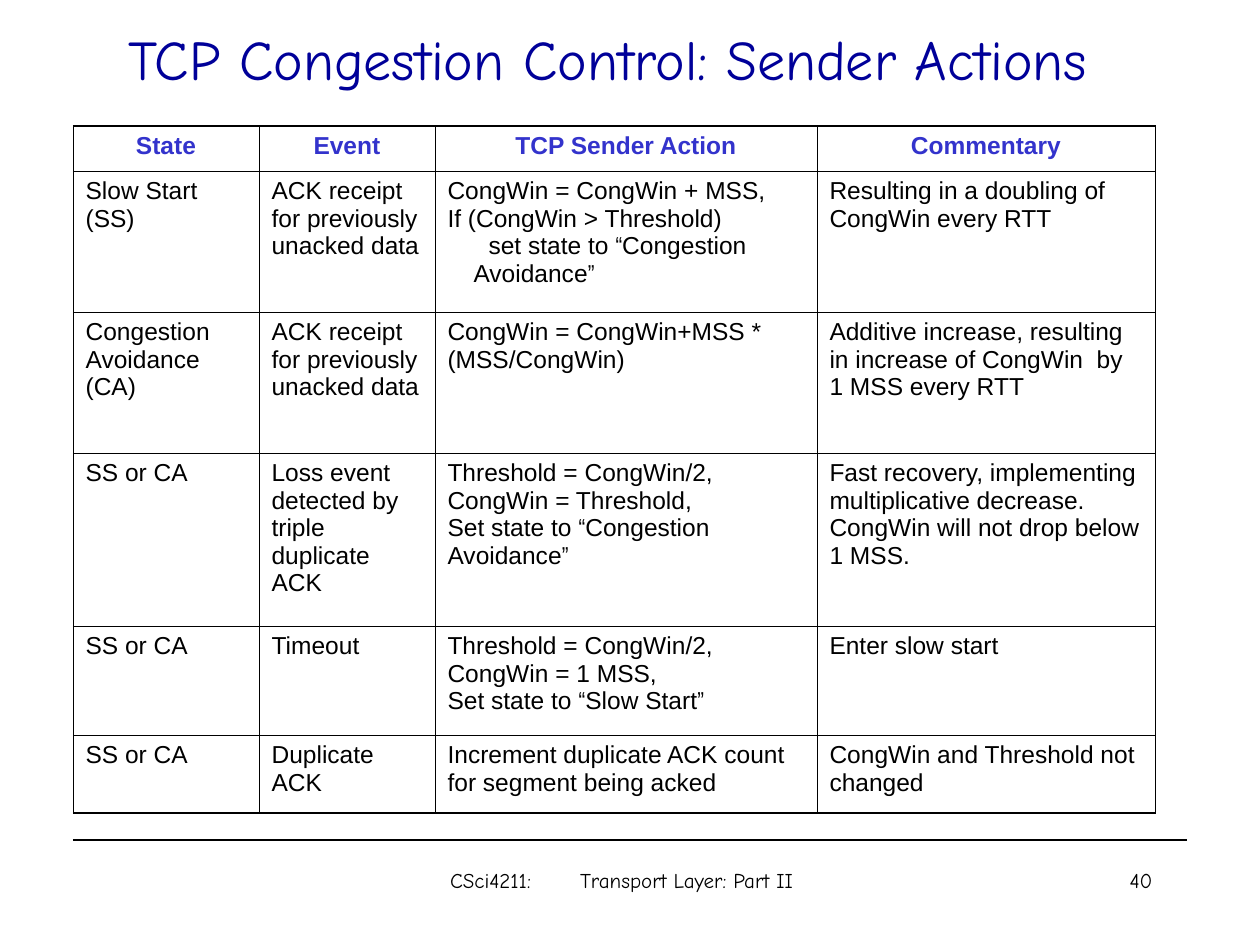
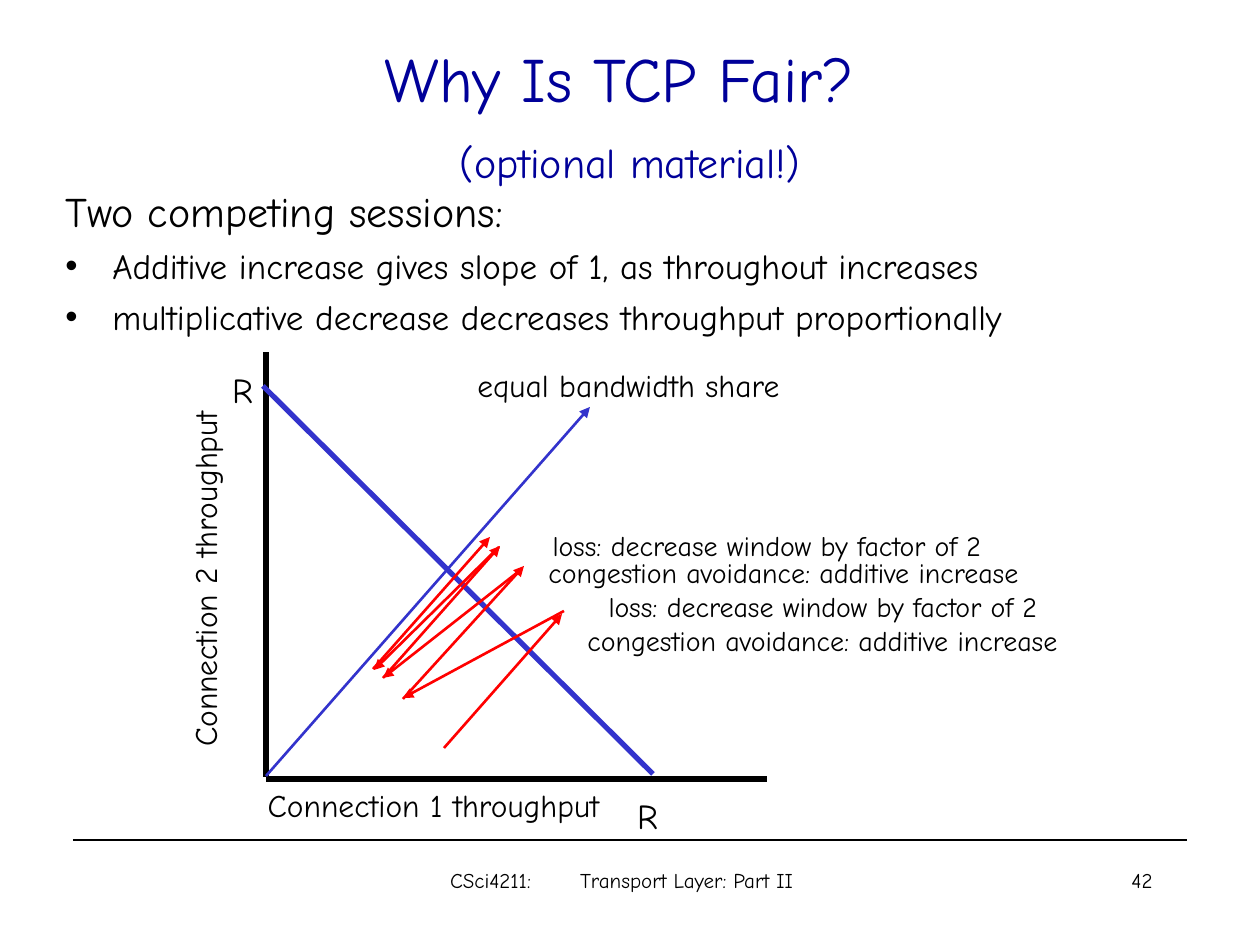
from itertools import groupby

from lxml import etree
from pptx import Presentation
from pptx.dml.color import RGBColor
from pptx.enum.shapes import MSO_CONNECTOR
from pptx.enum.text import MSO_ANCHOR, PP_ALIGN
from pptx.oxml.ns import qn
from pptx.util import Emu, Pt

PX = 914400 / 126
BLACK, NAVY, BLUE, RED = "000000", "000099", "3333CC", "FF0000"
HAND, SANS, QUOTES = "Comic Neue", "Arial", "Arial Narrow"
LEFT, CENTER, RIGHT = PP_ALIGN.LEFT, PP_ALIGN.CENTER, PP_ALIGN.RIGHT

FOOTER = "CSci4211:\tTransport Layer: Part II"

# Actions: paragraphs in a cell are separated by a line feed.
HEADINGS = ["State", "Event", "TCP Sender Action", "Commentary"]
ACTIONS = [
    ["Slow Start (SS)", "ACK receipt for previously unacked data",
     "CongWin = CongWin + MSS,\nIf (CongWin > Threshold)\nset state to “Congestion Avoidance”",
     "Resulting in a doubling of CongWin every RTT"],
    ["Congestion\nAvoidance (CA)", "ACK receipt for previously unacked data",
     "CongWin = CongWin+MSS * (MSS/CongWin)",
     "Additive increase, resulting in increase of CongWin  by 1 MSS every RTT"],
    ["SS or CA", "Loss event detected by triple duplicate ACK",
     "Threshold = CongWin/2,\nCongWin = Threshold,\nSet state to “Congestion Avoidance”",
     "Fast recovery, implementing multiplicative decrease. "
     "CongWin will not drop below 1 MSS."],
    ["SS or CA", "Timeout",
     "Threshold = CongWin/2,\nCongWin = 1 MSS,\nSet state to “Slow Start”",
     "Enter slow start"],
    ["SS or CA", "Duplicate ACK",
     "Increment duplicate ACK count for segment being acked",
     "CongWin and Threshold not changed"],
]
COLUMN_WIDTHS = [186, 176, 382, 338]
ROW_HEIGHTS = [45, 141, 141, 173, 109, 78]

SESSIONS = "Two competing sessions:"
SESSION_POINTS = [
    "Additive increase gives slope of 1, as throughout increases",
    "multiplicative decrease decreases throughput proportionally",
]

# Lines of the fairness plot: start, end, colour, points, arrow at the end
PLOT_LINES = [
    ((266, 779), (767, 779), BLACK, 3, False),
    ((266, 777), (266, 352), BLACK, 3, False),
    ((266, 776), (590, 407), BLUE, 1.5, True),
    ((263, 386), (653, 774), BLUE, 3, False),
]
WINDOW_MOVES = [
    ((444, 748), (562, 614)),
    ((564, 611), (403, 698)),
    ((403, 699), (524, 566)),
    ((518, 572), (383, 678)),
    ((383, 678), (500, 546)),
    ((499, 547), (374, 670)),
    ((373, 669), (490, 537)),
]

# Plot labels: text, left, top, width, height, size, rotation
INCREASE = "congestion avoidance: additive increase"
LOSS = "loss: decrease window by factor of 2"
PLOT_LABELS = [
    ("R", 620, 788, 55, 55, 20, 0),
    ("R", 215, 362, 55, 55, 20, 0),
    ("equal bandwidth share", 384, 360, 489, 50, 18, 0),
    ("Connection 1 throughput", 189, 780, 489, 50, 18, 0),
    ("Connection 2 throughput", -40, 554, 489, 50, 18, 270),
    (INCREASE, 510, 617, 625, 47, 16, 0),
    (LOSS, 595, 583, 456, 47, 16, 0),
    (INCREASE, 471, 549, 625, 47, 16, 0),
    (LOSS, 539, 522, 456, 47, 16, 0),
]


def px(length):
    return Emu(round(length * PX))


def color(value):
    return RGBColor.from_string(value)


def add_span(para, text, size, font=HAND, fill=BLACK, bold=False):
    span = para.add_run()
    span.text = text
    span.font.name, span.font.size, span.font.bold = font, Pt(size), bold
    span.font.color.rgb = color(fill)


def add_text(page, text, left, top, width, height, size=12, fill=BLACK,
             align=CENTER, anchor=MSO_ANCHOR.TOP, wrap=True, rotation=0):
    """Add a text box with one paragraph and return the box."""
    box = page.shapes.add_textbox(px(left), px(top), px(width), px(height))
    box.rotation = rotation
    frame = box.text_frame
    frame.word_wrap = wrap
    frame.vertical_anchor = anchor
    para = frame.paragraphs[0]
    para.alignment = align
    add_span(para, text, size, fill=fill)
    return box


def add_line(page, start, end, fill=BLACK, width=0.75, arrow=False):
    line = page.shapes.add_connector(
        MSO_CONNECTOR.STRAIGHT, *(px(value) for value in start + end))
    line.line.color.rgb = color(fill)
    line.line.width = Pt(width)
    if arrow:
        etree.SubElement(line.line._get_or_add_ln(), qn("a:tailEnd"), type="triangle")
    etree.SubElement(line._element.spPr, qn("a:effectLst"))


def set_indent(para, margin, first):
    properties = para._p.get_or_add_pPr()
    properties.set("marL", str(px(margin)))
    properties.set("indent", str(px(first)))
    return properties


def add_page(deck, number, title, title_box, title_size):
    """Add a page with its title, rule and footer; return it and the title box."""
    page = deck.slides.add_slide(deck.slide_layouts[6])
    add_line(page, (73, 840), (1187, 840))
    footer = add_text(page, FOOTER, 420, 861, 410, 63, align=LEFT)
    footer.text_frame.margin_left = px(30)
    tabs = etree.SubElement(
        footer.text_frame.paragraphs[0]._p.get_or_add_pPr(), qn("a:tabLst"))
    etree.SubElement(tabs, qn("a:tab"), pos=str(px(130)), algn="l")
    add_text(page, str(number), 903, 861, 262, 63, align=RIGHT)
    heading = add_text(page, title, *title_box, size=title_size, fill=NAVY,
                       anchor=MSO_ANCHOR.MIDDLE)
    return page, heading


def set_borders(cell, top, bottom):
    properties = cell._tc.get_or_add_tcPr()
    for side, width in (("L", 0.34), ("R", 0.34), ("T", top), ("B", bottom)):
        line = etree.SubElement(properties, qn("a:ln" + side), w=str(Pt(width)))
        fill = etree.SubElement(line, qn("a:solidFill"))
        etree.SubElement(fill, qn("a:srgbClr"), val=BLACK)


def fill_cell(cell, text, heading):
    for index, line in enumerate(text.split("\n")):
        frame = cell.text_frame
        para = frame.add_paragraph() if index else frame.paragraphs[0]
        para.alignment = CENTER if heading else LEFT
        if line.startswith("set state"):
            set_indent(para, 26, 15)
        for quoted, letters in groupby(line, key=lambda letter: letter in "“”"):
            add_span(para, "".join(letters), 14, font=QUOTES if quoted else SANS,
                     fill=BLUE if heading else BLACK, bold=heading)


def add_action_table(page):
    rows = [HEADINGS] + ACTIONS
    table = page.shapes.add_table(
        len(rows), len(HEADINGS), px(73), px(126),
        px(sum(COLUMN_WIDTHS)), px(sum(ROW_HEIGHTS))).table
    table.first_row = table.horz_banding = False
    for column, width in zip(table.columns, COLUMN_WIDTHS):
        column.width = px(width)
    for r, (row, height) in enumerate(zip(rows, ROW_HEIGHTS)):
        table.rows[r].height = px(height)
        for c, text in enumerate(row):
            cell = table.cell(r, c)
            fill_cell(cell, text, heading=r == 0)
            set_borders(cell, top=0.96 if r == 0 else 0.45,
                        bottom=0.96 if r == len(rows) - 1 else 0.45)
            cell.fill.background()


def add_sessions(page):
    box = add_text(page, SESSIONS, 53, 179, 1144, 170, size=24, align=LEFT)
    for point in SESSION_POINTS:
        para = box.text_frame.add_paragraph()
        para.space_before = Pt(5)
        properties = set_indent(para, 47, -47)
        etree.SubElement(properties, qn("a:buFont"), typeface=SANS)
        etree.SubElement(properties, qn("a:buChar"), char="•")
        add_span(para, point, 20)


def add_fairness_plot(page):
    for line in PLOT_LINES:
        add_line(page, *line)
    for start, end in WINDOW_MOVES:
        add_line(page, start, end, RED, 1.5, arrow=True)
    for text, left, top, width, height, size, rotation in PLOT_LABELS:
        add_text(page, text, left, top, width, height, size=size,
                 rotation=rotation, wrap=text != LOSS)


def main():
    deck = Presentation()
    deck.slide_width, deck.slide_height = px(1260), px(945)

    page, _ = add_page(deck, 40, "TCP Congestion Control: Sender Actions",
                       (73, -21, 1071, 158), 32)
    add_action_table(page)

    page, heading = add_page(deck, 42, "Why Is TCP Fair?", (84, 63, 1071, 105), 36)
    subtitle = heading.text_frame.add_paragraph()
    subtitle.alignment = CENTER
    add_span(subtitle, " ", 36, fill=NAVY)
    add_span(subtitle, "(optional material!)", 24, fill=NAVY)
    add_sessions(page)
    add_fairness_plot(page)

    deck.save("out.pptx")


if __name__ == "__main__":
    main()
